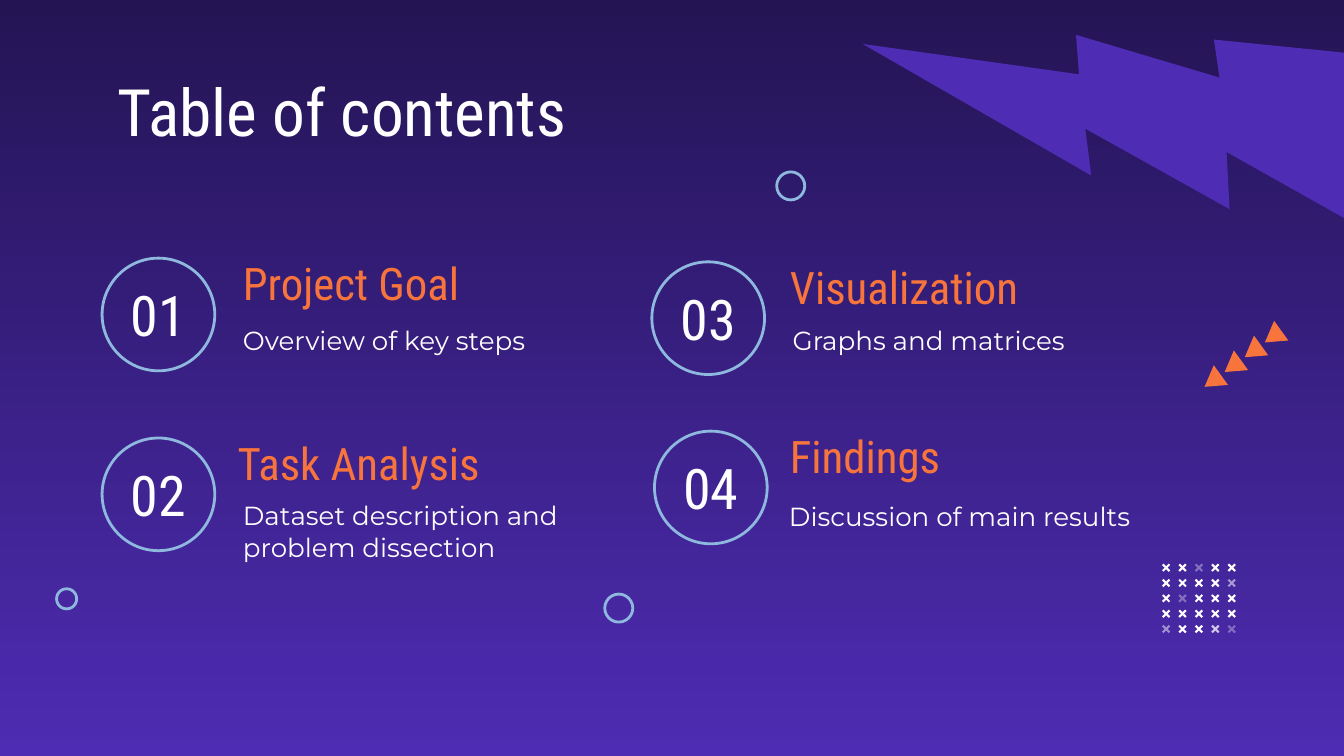
import dataclasses

import lxml.etree
import pptx
import pptx.dml.color
import pptx.enum.shapes
import pptx.enum.text
import pptx.oxml.ns
import pptx.util

Cm = pptx.util.Cm
Pt = pptx.util.Pt
SHAPE = pptx.enum.shapes.MSO_SHAPE
ALIGN = pptx.enum.text.PP_ALIGN
ANCHOR = pptx.enum.text.MSO_ANCHOR
qn = pptx.oxml.ns.qn

HEAD_FONT, BODY_FONT = "Roboto Condensed", "Montserrat"
WHITE, ORANGE, BLUE, VIOLET, NIGHT = "FFFFFF", "F7743C", "8EB8DE", "4E2CB3", "241454"
CIRCLE = 2.13
NUMBER_W, NUMBER_H = 2.26, 2.44


@dataclasses.dataclass
class Topic:
    heading: str
    text: str
    circle_x: float
    top: float
    heading_x: float
    text_x: float
    text_y: float


@dataclasses.dataclass
class Ring:
    x: float
    y: float
    size: float


TOPICS = [
    Topic("Project Goal", "Overview of key steps", 1.93, 4.88, 4.34, 4.34, 5.61),
    Topic("Task Analysis", "Dataset description and problem dissection",
          1.93, 8.28, 4.24, 4.34, 9.22),
    Topic("Visualization", "Graphs and matrices", 12.32, 4.95, 14.68, 14.73, 5.61),
    Topic("Findings", "Discussion of main results", 12.37, 8.15, 14.68, 14.66, 8.94),
]
RINGS = [Ring(1.07, 11.13, 0.38), Ring(14.68, 3.25, 0.53), Ring(11.43, 11.23, 0.53)]
# Opacity in percent of the faded crosses, by (row, column)
FADED = {(0, 2): 36, (1, 4): 53, (2, 1): 34, (4, 0): 48, (4, 3): 75, (4, 4): 33}


def rgb(color: str) -> pptx.dml.color.RGBColor:
    return pptx.dml.color.RGBColor.from_string(color)


def add_solid(s, kind, x: float, y: float, w: float, h: float, color: str,
              rotation: float = 0, opacity: int = 100):
    sp = s.shapes.add_shape(kind, Cm(x), Cm(y), Cm(w), Cm(h))
    sp.shadow.inherit = False
    sp.rotation = rotation
    sp.line.fill.background()
    sp.fill.solid()
    sp.fill.fore_color.rgb = rgb(color)
    if opacity < 100:
        clr = sp._element.spPr.find(".//" + qn("a:srgbClr"))
        lxml.etree.SubElement(clr, qn("a:alpha"), val=str(opacity * 1000))
    return sp


def add_ring(s, ring: Ring) -> None:
    sp = s.shapes.add_shape(SHAPE.OVAL, Cm(ring.x), Cm(ring.y), Cm(ring.size), Cm(ring.size))
    sp.shadow.inherit = False
    sp.fill.background()
    sp.line.color.rgb = rgb(BLUE)
    sp.line.width = Pt(1.5)


def write(sp, text: str, x: float, y: float, w: float, h: float, size: float,
          font: str, color: str, align=ALIGN.LEFT, anchor=ANCHOR.MIDDLE) -> None:
    sp.left, sp.top, sp.width, sp.height = Cm(x), Cm(y), Cm(w), Cm(h)
    tf = sp.text_frame
    tf.text = text
    tf.word_wrap = True
    tf.auto_size = pptx.enum.text.MSO_AUTO_SIZE.NONE
    tf.vertical_anchor = anchor
    tf.margin_left = tf.margin_right = tf.margin_top = tf.margin_bottom = Cm(0.25)
    p = tf.paragraphs[0]
    p.alignment = align
    p.space_before = Pt(0)
    r = p.runs[0]
    r.font.name, r.font.size, r.font.bold = font, Pt(size), False
    r.font.color.rgb = rgb(color)


def remove_bullet(sp) -> None:
    pPr = sp.text_frame.paragraphs[0]._p.get_or_add_pPr()
    pPr.set("marL", "0")
    pPr.set("indent", "0")
    lxml.etree.SubElement(pPr, qn("a:buNone"))


def add_text(s, *args, **kwargs) -> None:
    write(s.shapes.add_textbox(0, 0, 0, 0), *args, **kwargs)


def add_topic(s, number: int, topic: Topic, body) -> None:
    add_ring(s, Ring(topic.circle_x, topic.top, CIRCLE))
    add_text(s, f"{number:02}", topic.circle_x - (NUMBER_W - CIRCLE) / 2,
             topic.top - (NUMBER_H - CIRCLE) / 2, NUMBER_W, NUMBER_H,
             30, HEAD_FONT, WHITE, align=ALIGN.CENTER)
    add_text(s, topic.heading, topic.heading_x, topic.top, 8.66, 0.94,
             24, HEAD_FONT, ORANGE)
    write(body, topic.text, topic.text_x, topic.text_y, 7.19, 1.63,
          14, BODY_FONT, WHITE)
    remove_bullet(body)


def main() -> None:
    prs = pptx.Presentation()
    prs.slide_width, prs.slide_height = Cm(25.4), Cm(14.29)
    # The comparison layout has a title and four body placeholders
    s = prs.slides.add_slide(prs.slide_layouts[4])

    # Background
    fill = s.background.fill
    fill.gradient()
    fill.gradient_angle = 270
    for stop, color in zip(fill.gradient_stops, (NIGHT, VIOLET)):
        stop.color.rgb = rgb(color)

    # Lightning bolt
    bolt = add_solid(s, SHAPE.LIGHTNING_BOLT, 17.78, -1.73, 8.05, 8.05, VIOLET, 59.9)
    bolt._element.spPr.find(qn("a:xfrm")).set("flipH", "1")

    # Title and topics
    write(s.shapes.title, "Table of contents", 1.98, 1.09, 21.41, 1.63,
          35, HEAD_FONT, WHITE, anchor=ANCHOR.TOP)
    for number, topic in enumerate(TOPICS, 1):
        add_topic(s, number, topic, s.placeholders[number])

    # Grid of crosses
    for row in range(5):
        for col in range(5):
            cross = add_solid(s, SHAPE.CROSS, 21.95 + 0.31 * col, 10.64 + 0.29 * row,
                              0.18, 0.18, WHITE, 315, FADED.get((row, col), 100))
            cross.adjustments[0] = 0.39

    # Small rings and row of triangles
    for ring in RINGS:
        add_ring(s, ring)
    for i in range(4):
        add_solid(s, SHAPE.ISOSCELES_TRIANGLE, 23.83 - 0.38 * i, 6.17 + 0.28 * i,
                  0.46, 0.38, ORANGE, 234.2)

    prs.save("out.pptx")


if __name__ == "__main__":
    main()
